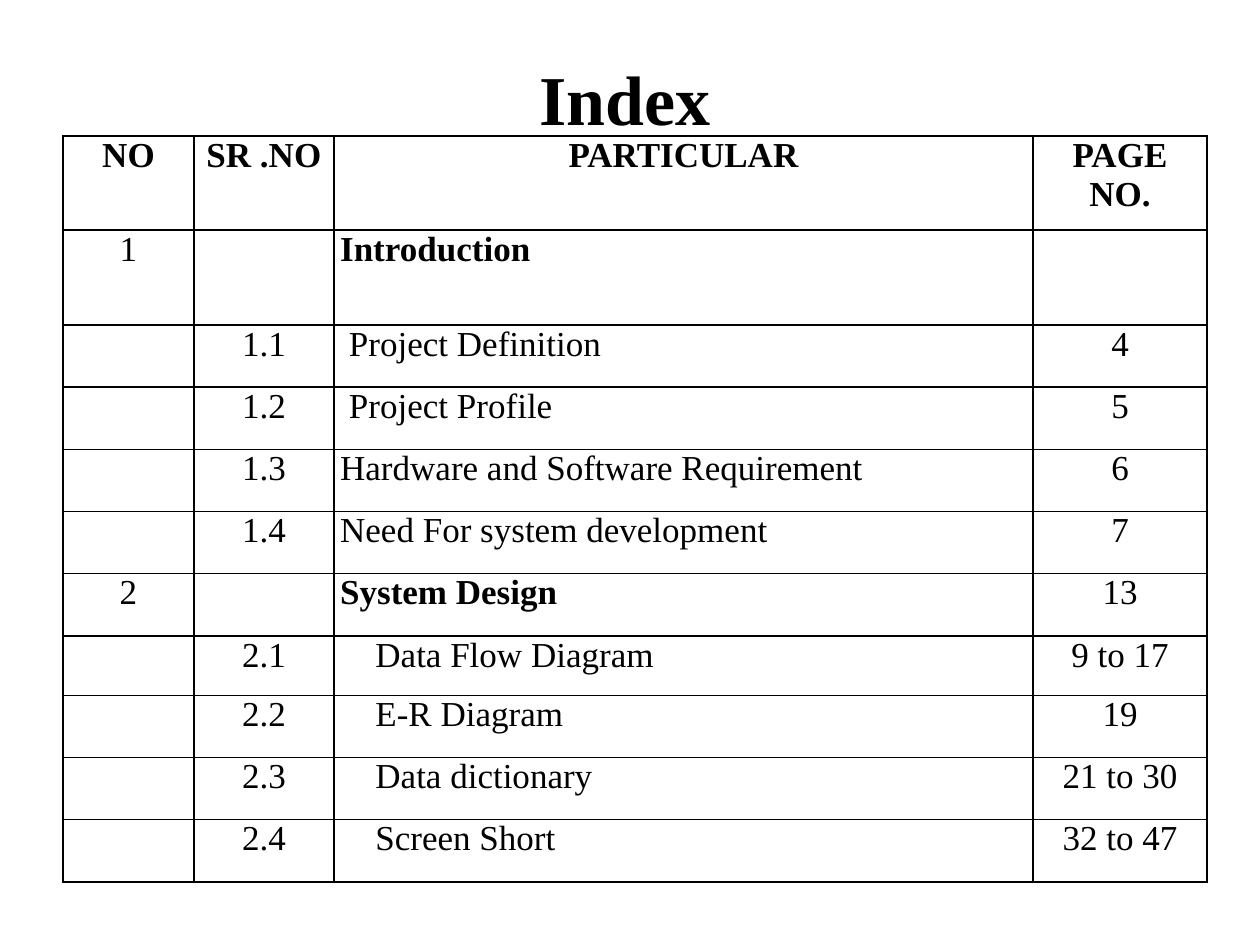
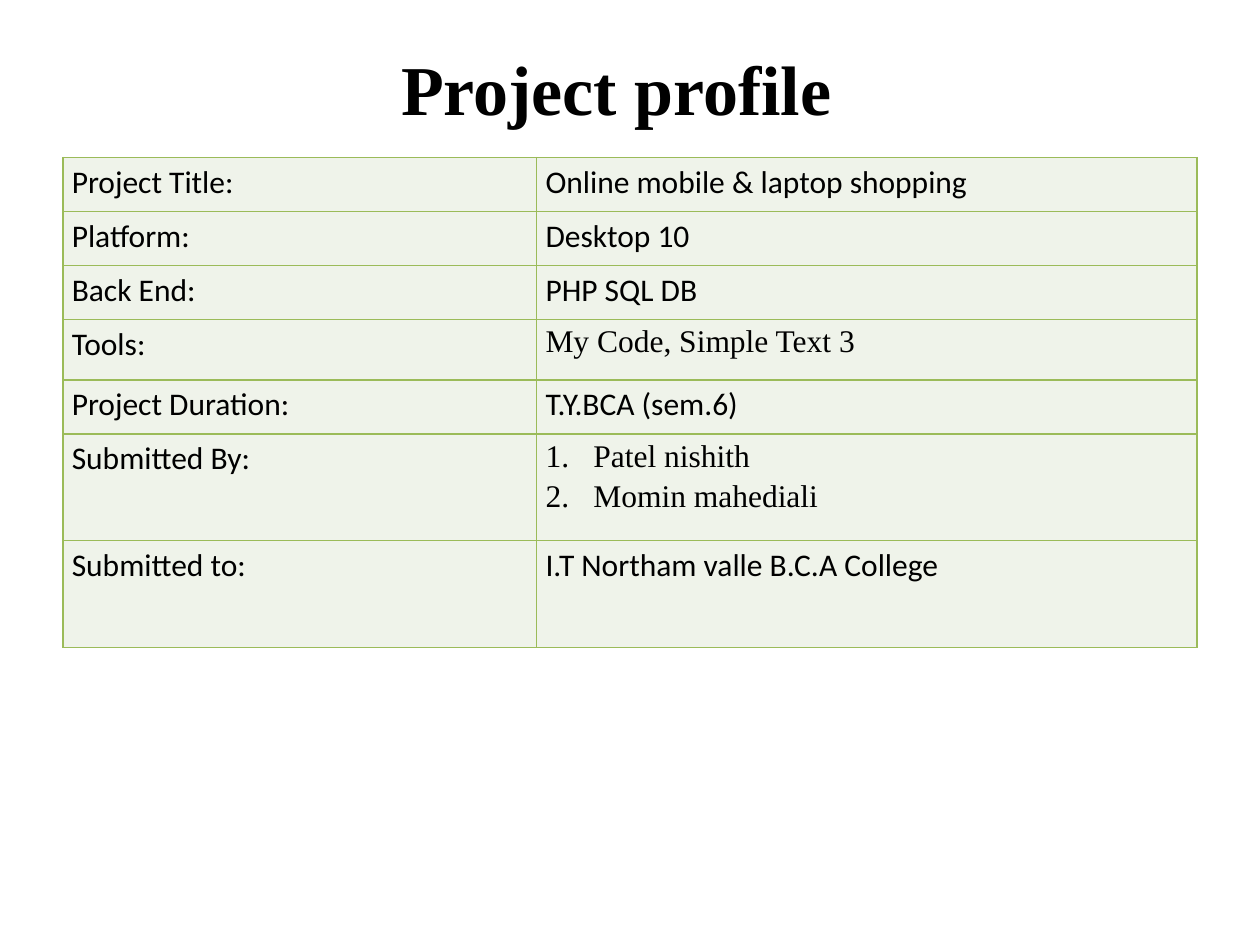
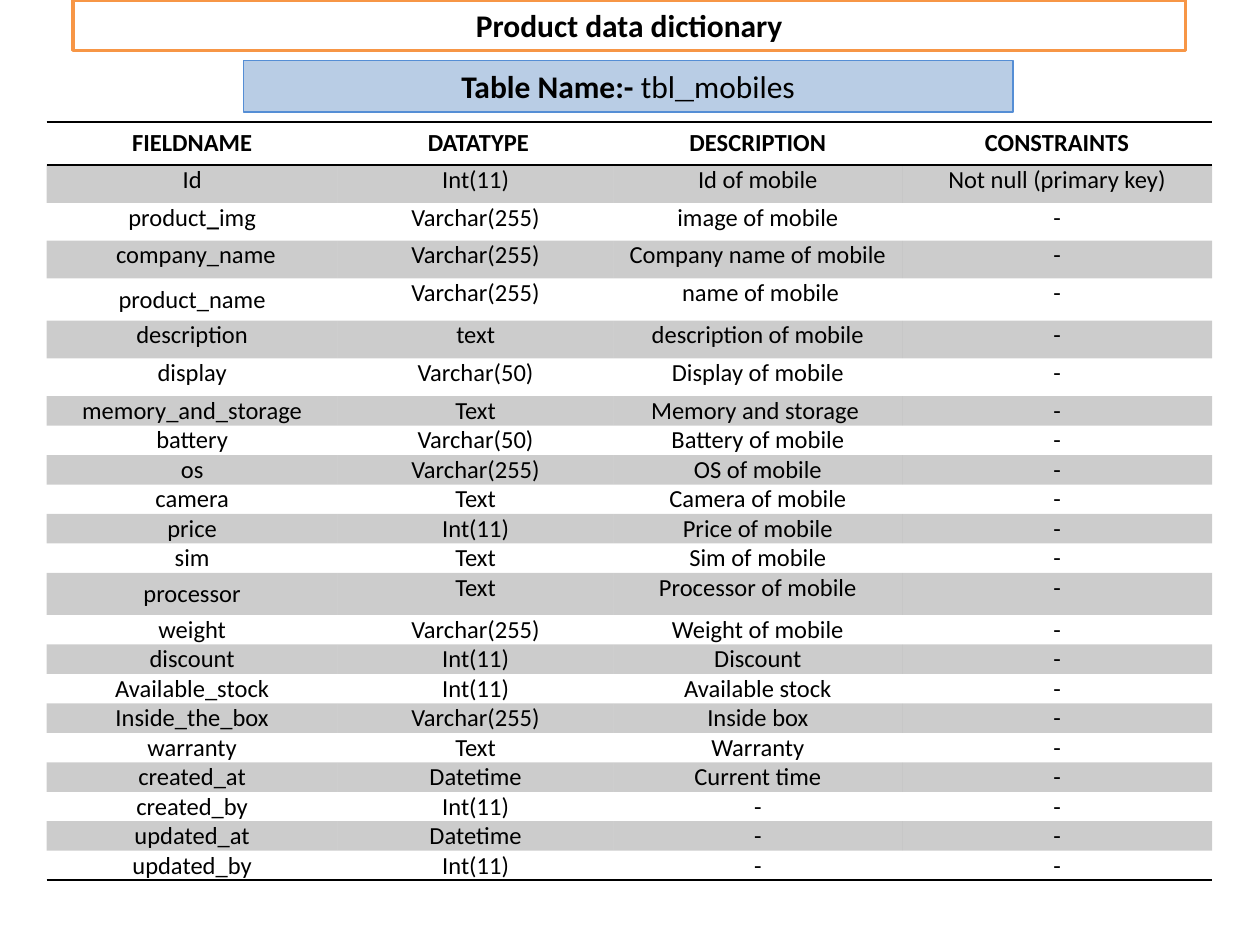
import pptx
import pptx.dml.color
import pptx.enum.shapes
import pptx.enum.text
import pptx.oxml.ns
import pptx.util
from lxml import etree

Inches = pptx.util.Inches
Pt = pptx.util.Pt
ALIGN = pptx.enum.text.PP_ALIGN
qn = pptx.oxml.ns.qn

# Shared look
SERIF, SANS, MONO = "Times New Roman", "Calibri", "Courier New"
BLACK, GREEN, PALE_GREEN = "000000", "9BBB59", "EFF3EA"
ORANGE, BLUE, PALE_BLUE = "F79646", "558ED5", "B9CDE5"
ALL_SIDES = "LRTB"

# Index: number, section, particular, page, indent of the particular
INDEX_HEAD = ("NO", "SR .NO", "PARTICULAR", "PAGE NO.")
INDEX_ROWS = [
    ("1", "", "Introduction", "", 0),
    ("", "1.1", "Project Definition", "4", 0.07),
    ("", "1.2", "Project Profile", "5", 0.07),
    ("", "1.3", "Hardware and Software Requirement", "6", 0),
    ("", "1.4", "Need For system development", "7", 0),
    ("2", "", "System Design", "13", 0),
    ("", "2.1", "Data Flow Diagram", "9 to 17", 0.28),
    ("", "2.2", "E-R Diagram", "19", 0.28),
    ("", "2.3", "Data dictionary", "21 to 30", 0.28),
    ("", "2.4", "Screen Short", "32 to 47", 0.28),
]

# Profile: label, value lines, font of the value
PROFILE_ROWS = [
    ("Project Title:", ["Online mobile & laptop shopping"], SANS),
    ("Platform:", ["Desktop 10"], SANS),
    ("Back End:", ["PHP SQL DB"], SANS),
    ("Tools:", ["My Code, Simple Text 3"], SERIF),
    ("Project Duration:", ["T.Y.BCA (sem.6)"], SANS),
    ("Submitted By:", ["Patel nishith", "Momin mahediali"], SERIF),
    ("Submitted to:", ["I.T Northam valle B.C.A College"], SANS),
]

# Data dictionary: field, data type, description
FIELD_HEAD = ("FIELDNAME", " DATATYPE", "DESCRIPTION", "CONSTRAINTS")
FIELDS = [
    ("Id", "Int(11)", "Id of mobile"),
    ("product_img", "Varchar(255)", "image of mobile"),
    ("company_name", "Varchar(255)", "Company name of mobile"),
    ("product_name", "Varchar(255)", " name of mobile"),
    ("description", "text", " description of mobile "),
    ("display", "Varchar(50)", "Display of mobile"),
    ("memory_and_storage", "Text", "Memory and storage "),
    ("battery", "Varchar(50)", "Battery of mobile"),
    ("os", "Varchar(255)", "OS of mobile"),
    ("camera", "Text", "Camera of mobile"),
    ("price", "Int(11)", "Price of mobile"),
    ("sim", "Text", "Sim of mobile"),
    ("processor", "Text", "Processor of mobile"),
    ("weight", "Varchar(255)", "Weight of mobile"),
    ("discount", "Int(11)", "Discount"),
    ("Available_stock", "Int(11)", "Available stock"),
    ("Inside_the_box", "Varchar(255)", "Inside box"),
    ("warranty", "Text", "Warranty"),
    ("created_at", "Datetime", "Current time"),
    ("created_by", "Int(11)", "-"),
    ("updated_at", "Datetime", "-"),
    ("updated_by", "Int(11)", "-"),
]
PADDED_FIELDS = ("product_name", "processor")


def color(hex_value):
    return pptx.dml.color.RGBColor.from_string(hex_value)


# Text
def add_run(paragraph, text, size, font=SANS, bold=False):
    run = paragraph.add_run()
    run.text = text
    run.font.size = Pt(size)
    run.font.name = font
    run.font.bold = bold
    run.font.color.rgb = color(BLACK)


def indent(paragraph, left, first=0):
    properties = paragraph._p.get_or_add_pPr()
    properties.set("marL", str(Inches(left)))
    properties.set("indent", str(Inches(first)))
    return properties


def number(paragraph):
    properties = indent(paragraph, 0.38, -0.38)
    etree.SubElement(properties, qn("a:buAutoNum"), type="arabicPeriod")


def add_title(slide, text, top):
    title = slide.shapes.add_textbox(Inches(0.42), Inches(top), Inches(9.08), Inches(0.77))
    title.text_frame.word_wrap = True
    title.text_frame.auto_size = pptx.enum.text.MSO_AUTO_SIZE.SHAPE_TO_FIT_TEXT
    paragraph = title.text_frame.paragraphs[0]
    paragraph.alignment = ALIGN.CENTER
    add_run(paragraph, text, 40, SERIF, True)


def add_band(slide, left, top, width, height, line, line_width, fill=None):
    band = slide.shapes.add_shape(pptx.enum.shapes.MSO_SHAPE.RECTANGLE,
                                  Inches(left), Inches(top), Inches(width), Inches(height))
    band.shadow.inherit = False
    band.line.color.rgb = color(line)
    band.line.width = Pt(line_width)
    paint(band.fill, fill)
    band.text_frame.word_wrap = True
    band.text_frame.auto_size = pptx.enum.text.MSO_AUTO_SIZE.SHAPE_TO_FIT_TEXT
    paragraph = band.text_frame.paragraphs[0]
    paragraph.alignment = ALIGN.CENTER
    return paragraph


# Tables
def paint(fill, hex_value):
    if hex_value:
        fill.solid()
        fill.fore_color.rgb = color(hex_value)
    else:
        fill.background()


def add_table(slide, left, top, width, height, column_shares, row_shares):
    """Share out the width and height of the table over its columns and rows."""
    table = slide.shapes.add_table(len(row_shares), len(column_shares), Inches(left),
                                   Inches(top), Inches(width), Inches(height)).table
    table.first_row = table.horz_banding = False
    for column, share in zip(table.columns, column_shares):
        column.width = Inches(width * share / sum(column_shares))
    for row, share in zip(table.rows, row_shares):
        row.height = Inches(height * share / sum(row_shares))
    return table


def style_cell(cell, sides, line_color, fill=None, alpha=None, side_inset=0.07, inset=0):
    cell.margin_left = cell.margin_right = Inches(side_inset)
    cell.margin_top = cell.margin_bottom = Inches(inset)
    properties = cell._tc.get_or_add_tcPr()
    for side in ALL_SIDES:
        border = etree.SubElement(properties, qn("a:ln" + side), w=str(Pt(1)))
        if side in sides:
            border_paint = etree.SubElement(border, qn("a:solidFill"))
            etree.SubElement(border_paint, qn("a:srgbClr"), val=line_color)
        else:
            etree.SubElement(border, qn("a:noFill"))
    paint(cell.fill, fill)
    if alpha:
        tint = properties.find(qn("a:solidFill")).find(qn("a:srgbClr"))
        etree.SubElement(tint, qn("a:alpha"), val=str(alpha * 1000))


# Slides
def build_index(slide):
    heights = [0.74, 0.75] + [0.49] * 5 + [0.47] + [0.49] * 3
    table = add_table(slide, 0.5, 1.08, 9.08, 5.92, [1.04, 1.11, 5.55, 1.38], heights)
    for r, (*texts, left) in enumerate([(*INDEX_HEAD, 0)] + INDEX_ROWS):
        is_chapter = bool(texts[0])
        for c, text in enumerate(texts):
            cell = table.cell(r, c)
            style_cell(cell, ALL_SIDES, BLACK, side_inset=0.05)
            if not text:
                continue
            paragraph = cell.text_frame.paragraphs[0]
            is_particular = c == 2 and r > 0
            paragraph.alignment = ALIGN.JUSTIFY if is_particular else ALIGN.CENTER
            if is_particular and left:
                indent(paragraph, left)
            add_run(paragraph, text, 20, SERIF, r == 0 or (is_particular and is_chapter))
    add_title(slide, "Index", 0.39)


def build_profile(slide):
    heights = [0.43, 0.43, 0.43, 0.48, 0.43, 0.85, 0.85]
    table = add_table(slide, 0.5, 1.25, 9, 3.89, [3.76, 5.24], heights)
    for r, (label, values, value_font) in enumerate(PROFILE_ROWS):
        for c, (lines, font) in enumerate([([label], SANS), (values, value_font)]):
            cell = table.cell(r, c)
            style_cell(cell, ALL_SIDES, GREEN, PALE_GREEN)
            for i, line in enumerate(lines):
                frame = cell.text_frame
                paragraph = frame.add_paragraph() if i else frame.paragraphs[0]
                paragraph.line_spacing = 1.15
                if len(lines) > 1:
                    number(paragraph)
                add_run(paragraph, line, 18, font)
    add_title(slide, "Project profile ", 0.31)


def build_dictionary(slide):
    heading = add_band(slide, 0.58, 0, 8.83, 0.4, ORANGE, 2)
    add_run(heading, "Product data dictionary", 18, bold=True)

    heights = [0.34] + [0.3] * 6 + [0.23] * 16
    table = add_table(slide, 0.37, 0.97, 9.25, sum(heights), [2.31, 2.19, 2.29, 2.46], heights)
    border_sides = {0: "TB", 1: "T", len(FIELDS): "B"}
    for r, texts in enumerate([FIELD_HEAD] + [(*field, "-") for field in FIELDS]):
        for c, text in enumerate(texts):
            if (r, c) == (1, 3):
                text = "Not null (primary key)"
            cell = table.cell(r, c)
            padded = r == 0 or text in PADDED_FIELDS
            shade = {"fill": BLACK, "alpha": 20} if r % 2 else {}
            style_cell(cell, border_sides.get(r, ""), BLACK, **shade,
                       side_inset=0.1 if padded else 0.07, inset=0.05 if padded else 0)
            paragraph = cell.text_frame.paragraphs[0]
            paragraph.alignment = ALIGN.CENTER
            if text == "company_name":
                indent(paragraph, 0.06)
            if text == "product_img":
                for part, bold in (("product", False), ("_", True), ("img", False)):
                    add_run(paragraph, part, 14, bold=bold)
            else:
                add_run(paragraph, text, 14, bold=r == 0)

    table_name = add_band(slide, 1.93, 0.48, 6.11, 0.41, BLUE, 0.75, PALE_BLUE)
    add_run(table_name, "Table Name:- ", 18, bold=True)
    add_run(table_name, "tbl", 18)
    add_run(table_name, "_", 18, MONO, True)
    add_run(table_name, "mobiles", 18)


def main():
    deck = pptx.Presentation()
    deck.slide_width, deck.slide_height = Inches(10), Inches(7.5)
    for build in (build_index, build_profile, build_dictionary):
        build(deck.slides.add_slide(deck.slide_layouts[6]))
    deck.save("out.pptx")


if __name__ == "__main__":
    main()
